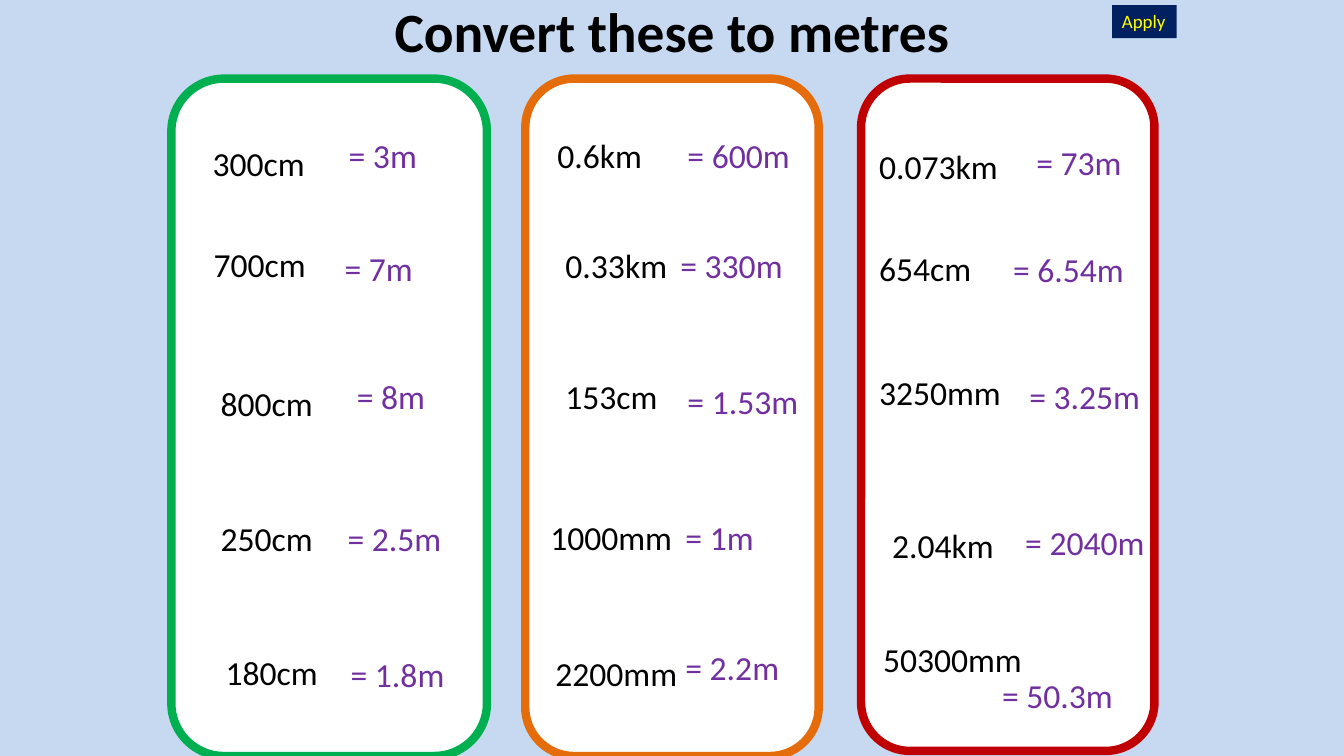
from pptx import Presentation
from pptx.dml.color import RGBColor
from pptx.enum.shapes import MSO_SHAPE as Shape
from pptx.enum.text import MSO_ANCHOR as Anchor, MSO_AUTO_SIZE as AutoSize, PP_ALIGN as Align
from pptx.util import Inches, Pt

FONT = "Calibri"
BLACK, WHITE, PURPLE = "000000", "FFFFFF", "7030A0"
SKY, NAVY, YELLOW = "C6D9F1", "002060", "FFFF00"
ROW_HEIGHT = 0.5

PANELS = [
    (1.7, 3.13, 6.72, "00B050"),
    (5.21, 2.91, 6.72, "E46C0A"),
    (8.54, 2.91, 6.67, "C00000"),
]

# Each entry: text, left, top, width
CONVERSIONS = [
    (("300cm", 2.01, 1.37, 1.12), ("= 3m", 3.36, 1.29, 0.88)),
    (("700cm", 2.02, 2.37, 1.12), ("= 7m", 3.32, 2.41, 0.88)),
    (("800cm", 2.09, 3.75, 1.12), ("= 8m", 3.44, 3.68, 0.88)),
    (("250cm", 2.09, 5.09, 1.12), ("= 2.5m", 3.35, 5.09, 1.14)),
    (("180cm", 2.14, 6.42, 1.12), ("= 1.8m", 3.38, 6.44, 1.14)),
    (("0.6km", 5.43, 1.29, 1.05), ("= 600m", 6.72, 1.29, 1.22)),
    (("0.33km", 5.51, 2.38, 1.22), ("= 330m", 6.65, 2.38, 1.22)),
    (("153cm", 5.51, 3.68, 1.12), ("= 1.53m", 6.72, 3.73, 1.31)),
    (("1000mm", 5.36, 5.08, 1.42), ("= 1m", 6.7, 5.08, 0.88)),
    (("2200mm", 5.41, 6.43, 1.42), ("= 2.2m", 6.7, 6.37, 1.14)),
    (("0.073km", 8.62, 1.4, 1.39), ("= 73m", 10.18, 1.36, 1.05)),
    (("654cm", 8.62, 2.41, 1.12), ("= 6.54m", 9.95, 2.42, 1.31)),
    (("3250mm", 8.62, 3.64, 1.42), ("= 3.25m", 10.11, 3.68, 1.31)),
    (("2.04km", 8.75, 5.16, 1.22), ("= 2040m", 10.07, 5.13, 1.39)),
    (("50300mm", 8.66, 6.29, 1.59), ("= 50.3m", 9.84, 6.65, 1.31)),
]


def rgb(color):
    return RGBColor.from_string(color)


def write(shape, text, size, color, align=Align.LEFT, bold=False):
    paragraph = shape.text_frame.paragraphs[0]
    paragraph.text = text
    paragraph.alignment = align
    font = paragraph.font
    font.name, font.size, font.bold = FONT, Pt(size), bold
    font.color.rgb = rgb(color)


def fit_to_text(shape):
    frame = shape.text_frame
    frame.word_wrap = False
    frame.auto_size = AutoSize.SHAPE_TO_FIT_TEXT
    frame.vertical_anchor = Anchor.TOP


def add_box(slide, kind, left, top, width, height, fill):
    shape = slide.shapes.add_shape(kind, Inches(left), Inches(top), Inches(width), Inches(height))
    shape.shadow.inherit = False
    shape.fill.solid()
    shape.fill.fore_color.rgb = rgb(fill)
    return shape


def add_title(slide, text):
    title = slide.shapes.add_textbox(0, 0, Inches(13.33), Inches(0.6))
    title.text_frame.word_wrap = True
    title.text_frame.vertical_anchor = Anchor.MIDDLE
    write(title, text, 39.6, BLACK, Align.CENTER, bold=True)


def add_panel(slide, left, width, height, color):
    panel = add_box(slide, Shape.ROUNDED_RECTANGLE, left, 0.78, width, height, WHITE)
    panel.line.color.rgb = rgb(color)
    panel.line.width = Pt(6)


def add_tag(slide, text):
    tag = add_box(slide, Shape.RECTANGLE, 11.03, 0.05, 0.64, 0.33, NAVY)
    tag.line.fill.background()
    fit_to_text(tag)
    write(tag, text, 13.5, YELLOW)


def add_measure(slide, text, left, top, width, color):
    box = slide.shapes.add_textbox(Inches(left), Inches(top), Inches(width), Inches(ROW_HEIGHT))
    fit_to_text(box)
    write(box, text, 24, color)


def main():
    presentation = Presentation()
    presentation.slide_width = Inches(13.33)
    presentation.slide_height = Inches(7.5)
    slide = presentation.slides.add_slide(presentation.slide_layouts[6])
    slide.background.fill.solid()
    slide.background.fill.fore_color.rgb = rgb(SKY)

    add_title(slide, "Convert these to metres")
    for panel in PANELS:
        add_panel(slide, *panel)
    add_tag(slide, "Apply")
    for question, answer in CONVERSIONS:
        add_measure(slide, *question, BLACK)
        add_measure(slide, *answer, PURPLE)

    presentation.save("out.pptx")


if __name__ == "__main__":
    main()
